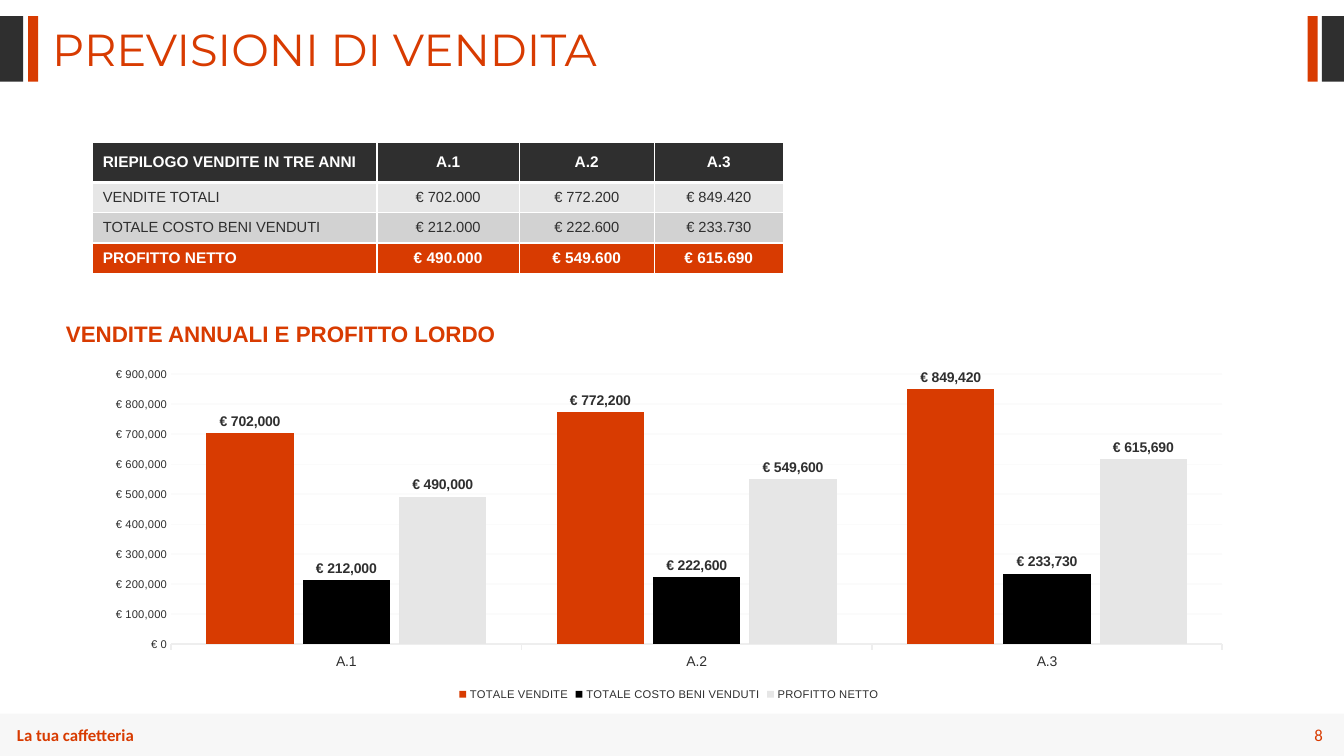
from lxml import etree
from pptx import Presentation
from pptx.chart.data import CategoryChartData
from pptx.dml.color import RGBColor
from pptx.enum.chart import XL_CHART_TYPE as ChartType
from pptx.enum.chart import XL_LABEL_POSITION as LabelPosition
from pptx.enum.chart import XL_LEGEND_POSITION as LegendPosition
from pptx.enum.chart import XL_TICK_MARK as TickMark
from pptx.enum.shapes import MSO_SHAPE as Preset
from pptx.enum.text import MSO_ANCHOR as Anchor
from pptx.enum.text import PP_ALIGN as Align
from pptx.oxml.ns import qn
from pptx.util import Inches, Pt

ORANGE, DARK, WHITE, GREY = "D83B01", "2F2F2F", "FFFFFF", "E6E6E6"
YEARS = ["A.1", "A.2", "A.3"]
SALES = [702000, 772200, 849420]
COSTS = [212000, 222600, 233730]
PROFIT = [490000, 549600, 615690]
EURO_FORMAT = '"€"\\ #,##0'


def color(value):
    return RGBColor.from_string(value)


def style_font(font, size, fill, bold=False, name="Arial"):
    font.name, font.size, font.bold = name, Pt(size), bold
    font.color.rgb = color(fill)


def style_line(line, fill, width):
    line.color.rgb = color(fill)
    line.width = Pt(width)


def write(paragraph, text, size, fill, bold=False, name="Arial", align=Align.LEFT):
    paragraph.alignment = align
    run = paragraph.add_run()
    run.text = text
    style_font(run.font, size, fill, bold, name)


def add_bar(slide, left, top, width, height, fill):
    shape = slide.shapes.add_shape(Preset.RECTANGLE, Inches(left), Inches(top),
                                   Inches(width), Inches(height))
    shape.shadow.inherit = False
    shape.fill.solid()
    shape.fill.fore_color.rgb = color(fill)
    shape.line.fill.background()


def add_text(slide, left, top, width, height, text, size, wrap=True,
             anchor=Anchor.TOP, spacing=None, **style):
    box = slide.shapes.add_textbox(Inches(left), Inches(top), Inches(width), Inches(height))
    frame = box.text_frame
    frame.word_wrap = wrap
    frame.vertical_anchor = anchor
    paragraph = frame.paragraphs[0]
    if spacing:
        paragraph.line_spacing = spacing
    write(paragraph, text, size, ORANGE, **style)


def add_header(slide, left, top, width, height):
    add_bar(slide, left, top, 0.23, height, DARK)
    add_bar(slide, left + 0.28, top, 0.1, height, ORANGE)
    add_bar(slide, left + width - 0.36, top, 0.1, height, ORANGE)
    add_bar(slide, left + width - 0.22, top, 0.22, height, DARK)
    add_text(slide, left + 0.42, top + 0.11, 6.67, 0.54, "PREVISIONI DI VENDITA", 32,
             spacing=0.8, name="Montserrat")


def add_footer(slide, left, top, width, height):
    add_bar(slide, left, top, width, height, "F7F7F7")
    add_text(slide, left + 0.07, top + 0.06, 1.84, 0.3, "La tua caffetteria", 12,
             bold=True, name="Calibri")
    add_text(slide, left + width - 0.98, top + 0.06, 0.87, 0.3, "8", 12,
             anchor=Anchor.MIDDLE, name="Calibri", align=Align.RIGHT)


def set_borders(cell, bottom_width):
    properties = cell._tc.get_or_add_tcPr()
    widths = {"a:lnL": 1, "a:lnR": 1, "a:lnT": 1, "a:lnB": bottom_width}
    for index, (tag, width) in enumerate(widths.items()):
        line = etree.Element(qn(tag), w=str(Pt(width)))
        fill = etree.SubElement(line, qn("a:solidFill"))
        etree.SubElement(fill, qn("a:srgbClr"), val=WHITE)
        properties.insert(index, line)


def euros(values):
    return [f"€ {value:,}".replace(",", ".") for value in values]


def add_summary_table(slide, left, top, widths, heights):
    rows = [
        (["RIEPILOGO VENDITE IN TRE ANNI"] + YEARS, DARK, WHITE, 11, True),
        (["VENDITE TOTALI"] + euros(SALES), GREY, DARK, 10.5, False),
        (["TOTALE COSTO BENI VENDUTI"] + euros(COSTS), "D2D2D2", DARK, 10.5, False),
        (["PROFITTO NETTO"] + euros(PROFIT), ORANGE, WHITE, 11, True),
    ]
    table = slide.shapes.add_table(len(rows), len(widths), Inches(left), Inches(top),
                                   Inches(sum(widths)), Inches(sum(heights))).table
    for column, width in zip(table.columns, widths):
        column.width = Inches(width)
    for row, height in zip(table.rows, heights):
        row.height = Inches(height)
    for row_index, (texts, fill, text_fill, size, bold) in enumerate(rows):
        for column_index, text in enumerate(texts):
            cell = table.cell(row_index, column_index)
            cell.vertical_anchor = Anchor.MIDDLE
            cell.fill.solid()
            cell.fill.fore_color.rgb = color(fill)
            set_borders(cell, 1 if row_index else 3)
            write(cell.text_frame.paragraphs[0], text, size, text_fill, bold,
                  align=Align.CENTER if column_index else Align.LEFT)


def style_axes(chart):
    category_axis, value_axis = chart.category_axis, chart.value_axis
    category_axis.major_tick_mark = TickMark.OUTSIDE
    style_font(category_axis.tick_labels.font, 10, DARK)
    style_line(category_axis.format.line, "EEEEEE", 1.25)
    value_axis.minimum_scale, value_axis.maximum_scale = 0, 900000
    value_axis.major_unit = 100000
    value_axis.major_tick_mark = TickMark.NONE
    value_axis.format.line.fill.background()
    style_line(value_axis.major_gridlines.format.line, "FBFBFB", 0.75)
    style_font(value_axis.tick_labels.font, 8, DARK)
    value_axis.tick_labels.number_format = EURO_FORMAT
    value_axis.tick_labels.number_format_is_linked = False


def add_sales_chart(slide, left, top, width, height):
    data = CategoryChartData(number_format=EURO_FORMAT)
    data.categories = YEARS
    data.add_series("TOTALE VENDITE", SALES)
    data.add_series("TOTALE COSTO BENI VENDUTI", COSTS)
    data.add_series("PROFITTO NETTO", PROFIT)
    chart = slide.shapes.add_chart(ChartType.COLUMN_CLUSTERED, Inches(left), Inches(top),
                                   Inches(width), Inches(height), data).chart
    chart.has_title = False
    style_font(chart.font, 8, DARK)
    chart.has_legend = True
    chart.legend.position = LegendPosition.BOTTOM
    chart.legend.include_in_layout = False
    style_font(chart.legend.font, 8, DARK)
    style_axes(chart)
    plot = chart.plots[0]
    plot.gap_width, plot.overlap, plot.vary_by_categories = 80, -10, False
    for series, fill in zip(plot.series, [ORANGE, "000000", GREY]):
        series.format.fill.solid()
        series.format.fill.fore_color.rgb = color(fill)
        labels = series.data_labels
        labels.show_value = True
        labels.position = LabelPosition.OUTSIDE_END
        labels.number_format = EURO_FORMAT
        labels.number_format_is_linked = False
        style_font(labels.font, 10, DARK, bold=True)


def main():
    presentation = Presentation()
    presentation.slide_width, presentation.slide_height = Inches(13.33), Inches(7.5)
    slide = presentation.slides.add_slide(presentation.slide_layouts[6])
    add_footer(slide, 0, 7.08, 13.33, 0.42)
    add_header(slide, 0, 0.16, 13.33, 0.65)
    add_summary_table(slide, 0.92, 1.41, [2.82, 1.41, 1.34, 1.28], [0.4, 0.3, 0.3, 0.3])
    add_text(slide, 0.53, 3.13, 4.51, 0.37, "VENDITE ANNUALI E PROFITTO LORDO", 16,
             wrap=False, bold=True, align=Align.CENTER)
    add_sales_chart(slide, 0.92, 3.58, 11.43, 3.41)
    presentation.save("out.pptx")


if __name__ == "__main__":
    main()
